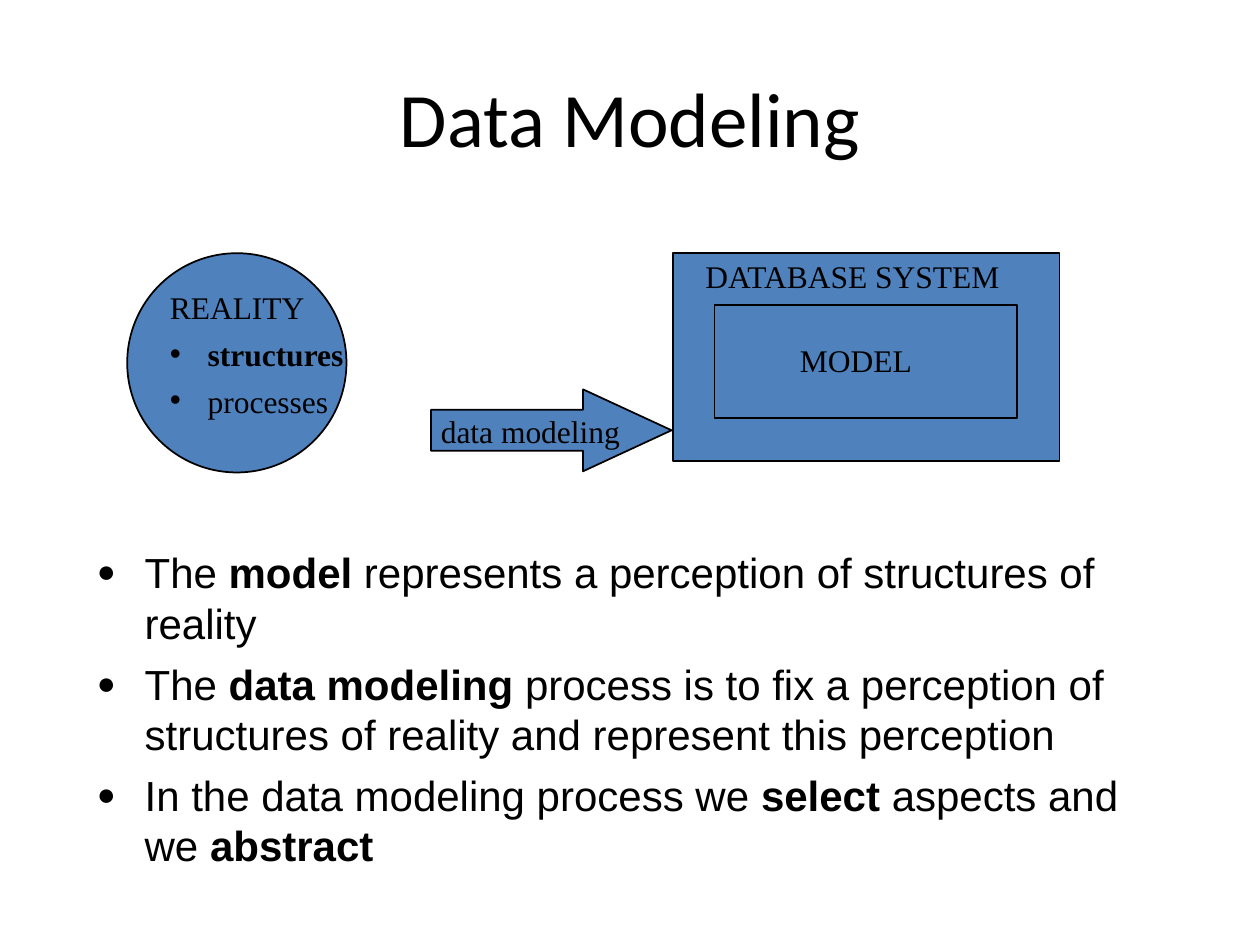
from dataclasses import dataclass

from lxml import etree
from pptx import Presentation
from pptx.dml.color import RGBColor
from pptx.enum.shapes import MSO_SHAPE
from pptx.enum.text import MSO_ANCHOR, PP_ALIGN
from pptx.oxml.ns import qn
from pptx.util import Inches, Pt

ELLIPSE = MSO_SHAPE.OVAL
RECTANGLE = MSO_SHAPE.RECTANGLE
RIGHT_ARROW = MSO_SHAPE.RIGHT_ARROW
MIDDLE = MSO_ANCHOR.MIDDLE
CENTER = PP_ALIGN.CENTER
LEFT = PP_ALIGN.LEFT

CELL = Inches(0.1)
COLUMNS, ROWS = 100, 75
BLUE, BLACK = "4F81BD", "000000"
SERIF, SANS, HEADING = "Times New Roman", "Arial", "Calibri"


@dataclass(frozen=True)
class Area:
    column: float
    row: float
    columns: float
    rows: float

    def lengths(self) -> list[int]:
        return [round(count * CELL) for count in (self.column, self.row, self.columns, self.rows)]


@dataclass(frozen=True)
class Span:
    text: str
    bold: bool = False


@dataclass(frozen=True)
class Figure:
    kind: int
    area: Area
    adjustments: tuple[float, ...] = ()


@dataclass(frozen=True)
class Bullet:
    symbol: str
    indent: float
    percent: int = 100


@dataclass(frozen=True)
class Para:
    spans: tuple[Span, ...]
    bullet: Bullet | None = None
    space_before: float = 0
    line_spacing: float = 1.0


@dataclass(frozen=True)
class Label:
    area: Area
    paras: tuple[Para, ...]
    font: str = SERIF
    size: int = 18
    align: int = LEFT
    wrap: bool = True


SMALL_DOT = Bullet("•", 3)
LARGE_DOT = Bullet("●", 3.8, 75)


def plain(text: str) -> tuple[Para, ...]:
    return (Para((Span(text),)),)


def aspect(text: str, bold: bool = False) -> Para:
    return Para((Span(text, bold),), SMALL_DOT, 11.2, 0.7)


def statement(*spans: Span, space_before: float = 6) -> Para:
    return Para(spans, LARGE_DOT, space_before)


TITLE = Label(Area(5, 3, 90, 12.5), plain("Data Modeling"), HEADING, 44, CENTER)

DIAGRAM = (
    Figure(ELLIPSE, Area(10.1, 20.1, 17.4, 17.4)),
    Label(Area(12.5, 22.4, 19.3, 11.3),
          plain("REALITY") + (aspect("structures", True), aspect("processes"))),
    Figure(RECTANGLE, Area(53.4, 20.1, 30.7, 16.5)),
    Label(Area(55, 19.9, 26.8, 4), plain("DATABASE SYSTEM")),
    Figure(RECTANGLE, Area(56.7, 24.2, 24, 9)),
    Label(Area(62.5, 26.6, 15.9, 4), plain("MODEL")),
    Figure(RIGHT_ARROW, Area(34.2, 30.9, 19.1, 6.5), (0.5, 1.08)),
    Label(Area(34, 32.2, 16.2, 4), plain("data modeling"), wrap=False),
)

STATEMENTS = Label(
    Area(6.7, 42.9, 85, 27.9),
    (
        statement(Span("The "), Span("model", True),
                  Span(" represents a perception of structures of reality"), space_before=0),
        statement(Span("The "), Span("data modeling ", True),
                  Span("process is to fix a perception of structures of reality "
                       "and represent this perception")),
        statement(Span("In the data modeling process we "), Span("select", True),
                  Span(" aspects and we "), Span("abstract", True)),
    ),
    SANS, 24,
)


def color(value: str) -> RGBColor:
    return RGBColor.from_string(value)


def add_bullet(paragraph, bullet: Bullet) -> None:
    properties = paragraph._p.get_or_add_pPr()
    indent = round(bullet.indent * CELL)
    properties.set("marL", str(indent))
    properties.set("indent", str(-indent))
    bullet_color = etree.SubElement(properties, qn("a:buClr"))
    etree.SubElement(bullet_color, qn("a:srgbClr"), val=BLACK)
    etree.SubElement(properties, qn("a:buSzPct"), val=str(bullet.percent * 1000))
    etree.SubElement(properties, qn("a:buFont"), typeface=SANS)
    etree.SubElement(properties, qn("a:buChar"), char=bullet.symbol)


def draw_figure(page, figure: Figure) -> None:
    shape = page.shapes.add_shape(figure.kind, *figure.area.lengths())
    for index, value in enumerate(figure.adjustments):
        shape.adjustments[index] = value
    shape.shadow.inherit = False
    shape.fill.solid()
    shape.fill.fore_color.rgb = color(BLUE)
    shape.line.color.rgb = color(BLACK)
    shape.line.width = Pt(1)


def draw_label(page, label: Label) -> None:
    box = page.shapes.add_textbox(*label.area.lengths())
    frame = box.text_frame
    frame.word_wrap = label.wrap
    if label.align == CENTER:
        frame.vertical_anchor = MIDDLE
    frame.text = "\n".join("".join(span.text for span in para.spans[:1]) for para in label.paras)
    for paragraph, para in zip(frame.paragraphs, label.paras):
        paragraph.alignment = label.align
        paragraph.line_spacing = para.line_spacing
        paragraph.space_before = Pt(para.space_before)
        if para.bullet:
            add_bullet(paragraph, para.bullet)
        for span in para.spans[1:]:
            paragraph.add_run().text = span.text
        for run, span in zip(paragraph.runs, para.spans):
            run.font.name = label.font
            run.font.size = Pt(label.size)
            run.font.bold = span.bold
            run.font.color.rgb = color(BLACK)


def main() -> None:
    deck = Presentation()
    deck.slide_width, deck.slide_height = COLUMNS * CELL, ROWS * CELL
    page = deck.slides.add_slide(deck.slide_layouts[6])
    for item in (TITLE, *DIAGRAM, STATEMENTS):
        if isinstance(item, Figure):
            draw_figure(page, item)
        else:
            draw_label(page, item)
    deck.save("out.pptx")


if __name__ == "__main__":
    main()
